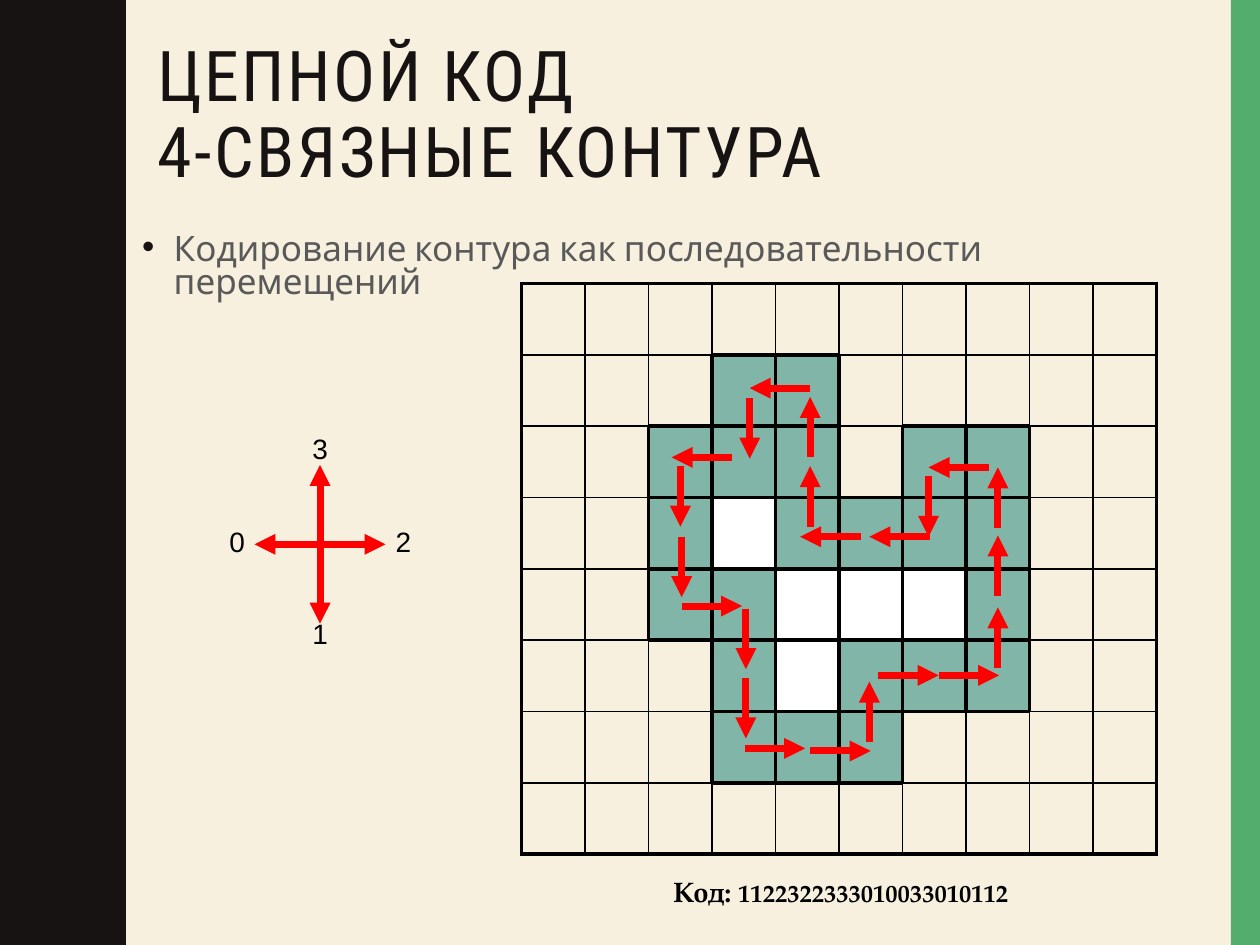
from lxml.etree import SubElement
from pptx import Presentation
from pptx.dml.color import RGBColor
from pptx.enum.shapes import MSO_CONNECTOR, MSO_SHAPE
from pptx.enum.text import PP_ALIGN
from pptx.oxml.ns import qn
from pptx.util import Inches, Pt

COLORS = {
    "paper": "F7F0DF", "ink": "171312", "edge": "53AE6E", "gray": "595959",
    "black": "000000", "red": "FF0000", "G": "81B5A8", "W": "FFFFFF",
}
# G: contour cell, W: inner cell
GRID = [
    "..........",
    "...GG.....",
    "..GGG.GG..",
    "..GWGGGG..",
    "..GGWWWG..",
    "...GWGGG..",
    "...GGG....",
    "..........",
]
CODE = "1122322333010033010112"
STEPS = {"0": (-1, 0), "1": (0, 1), "2": (1, 0), "3": (0, -1)}
STARTS = [
    (5.92, 4.83), (5.92, 5.38), (5.91, 5.94), (6.43, 5.96), (6.9, 5.89),
    (6.97, 5.36), (7.45, 5.36), (7.92, 5.3), (7.92, 4.73), (7.92, 4.19),
    (7.85, 3.71), (7.37, 3.78), (7.38, 4.26), (6.83, 4.26), (6.43, 4.18),
    (6.43, 3.63), (6.43, 3.08), (5.95, 3.16), (5.81, 3.63), (5.4, 3.7),
    (5.41, 4.26), (5.41, 4.81),
]
LABELS = {(0, 2): "3", (2, 0): "0", (2, 4): "2", (4, 2): "1"}


def color(name):
    return RGBColor.from_string(COLORS[name])


def paint(shape, name):
    shape.fill.solid()
    shape.fill.fore_color.rgb = color(name)
    shape.line.fill.background()
    shape.shadow.inherit = False


def style(font, face, size, name):
    font.name, font.size = face, Pt(size)
    font.color.rgb = color(name)


def add_text(slide, box, text):
    """Add a wrapped text box and return its first paragraph."""
    frame = slide.shapes.add_textbox(*map(Inches, box)).text_frame
    frame.word_wrap = True
    frame.text = text
    return frame.paragraphs[0]


def add_arrow(shapes, x, y, dx, dy):
    line = shapes.add_connector(
        MSO_CONNECTOR.STRAIGHT, *map(Inches, (x, y, x + dx, y + dy)))
    line.line.color.rgb = color("red")
    line.line.width = Pt(4)
    SubElement(line.line._get_or_add_ln(), qn("a:tailEnd"), type="triangle")
    SubElement(line._element.spPr, qn("a:effectLst"))


def add_wave(slide):
    """Draw the left band, whose right side swings every 0.75 inch."""
    low, swing, half, parts = 0.55, 0.19, 0.75, 12
    points = []
    for i in range(10):
        for j in range(1, parts + 1):
            t = j / parts
            ease = 3 * t ** 2 - 2 * t ** 3
            drop = 1.5 * t * (1 - t) + t ** 3
            x = low + swing * (ease if i % 2 == 0 else 1 - ease)
            points.append((x, half * (i + drop)))
    form = slide.shapes.build_freeform(
        Inches(low), 0, scale=float(Inches(1)))
    form = slide.shapes.build_freeform(low, 0, scale=float(Inches(1)))
    form.add_line_segments(points + [(0, 7.5), (0, 0)], close=True)
    paint(form.convert_to_shape(), "ink")


def add_table(slide, rows, cols, box):
    """Add a table without style, with equal rows and columns."""
    table = slide.shapes.add_table(rows, cols, *map(Inches, box)).table
    table.first_row = table.horz_banding = False
    table._tbl.tblPr.find(qn("a:tableStyleId")).text = (
        "{2D5ABB26-0587-4C30-8999-92F81FD0307C}")
    for row in table.rows:
        row.height = Inches(box[3] / rows)
    for col in table.columns:
        col.width = Inches(box[2] / cols)
    return table


def add_border(cell, side, width):
    line = SubElement(cell._tc.get_or_add_tcPr(), qn("a:ln" + side),
                      w=str(Pt(width)))
    fill = SubElement(line, qn("a:solidFill"))
    SubElement(fill, qn("a:srgbClr"), val=COLORS["black"])


def add_grid(slide):
    """Draw the cell grid; sides of marked cells and the rim are thick."""
    rows, cols = len(GRID), len(GRID[0])
    table = add_table(slide, rows, cols, (4.14, 2.25, 5.04, 4.53))
    sides = {"L": (0, -1), "R": (0, 1), "T": (-1, 0), "B": (1, 0)}
    for r, row in enumerate(GRID):
        for c, mark in enumerate(row):
            cell = table.cell(r, c)
            for side, (dr, dc) in sides.items():
                y, x = r + dr, c + dc
                rim = not (0 <= y < rows and 0 <= x < cols)
                thick = rim or mark != "." or GRID[y][x] != "."
                add_border(cell, side, 2.25 if thick else 1)
            if mark == ".":
                cell.fill.background()
            else:
                cell.fill.solid()
                cell.fill.fore_color.rgb = color(mark)


def add_compass(slide):
    group = slide.shapes.add_group_shape()
    for dx, dy in STEPS.values():
        add_arrow(group.shapes, 2.54, 4.32, dx * 0.52, dy * 0.63)
    table = add_table(slide, 5, 5, (1.72, 3.4, 1.65, 1.83))
    for r in range(5):
        for c in range(5):
            cell = table.cell(r, c)
            cell.fill.background()
            cell.margin_bottom = 0
            cell.text = LABELS.get((r, c), "")
            style(cell.text_frame.paragraphs[0].font, "Arial", 16, "black")


def add_words(slide):
    title = add_text(slide, (1.15, 0.28, 8.35, 1.63),
                     "ЦЕПНОЙ КОД\v4-СВЯЗНЫЕ КОНТУРА")
    title.line_spacing = 0.9
    style(title.font, "Roboto Condensed", 40, "ink")
    title._p.pPr.find(qn("a:defRPr")).set("spc", "150")

    body = add_text(slide, (1.03, 1.81, 8.35, 3.93),
                    "Кодирование контура как последовательности перемещений")
    body.line_spacing = 0.8
    props = body._p.get_or_add_pPr()
    props.set("marL", str(Inches(0.25)))
    props.set("indent", str(Inches(-0.25)))
    tint = SubElement(props, qn("a:buClr"))
    SubElement(tint, qn("a:srgbClr"), val=COLORS["ink"])
    SubElement(props, qn("a:buFont"), typeface="Arial")
    SubElement(props, qn("a:buChar"), char="•")
    style(body.font, "Cabin", 20, "gray")

    code = add_text(slide, (4.82, 6.89, 3.71, 0.37), "Код: ")
    code.alignment = PP_ALIGN.CENTER
    code.add_run().text = CODE
    for run, size in zip(code.runs, (16, 14)):
        style(run.font, "TeX Gyre Pagella", size, "black")
        run.font.bold = True


def main():
    deck = Presentation()
    deck.slide_width, deck.slide_height = Inches(10), Inches(7.5)
    slide = deck.slides.add_slide(deck.slide_layouts[6])
    slide.background.fill.solid()
    slide.background.fill.fore_color.rgb = color("paper")
    band = slide.shapes.add_shape(
        MSO_SHAPE.RECTANGLE, *map(Inches, (9.77, 0, 0.23, 7.5)))
    paint(band, "edge")
    add_wave(slide)
    add_words(slide)
    add_compass(slide)
    add_grid(slide)
    for step, (x, y) in zip(CODE, STARTS):
        dx, dy = STEPS[step]
        add_arrow(slide.shapes, x, y, dx * 0.48, dy * 0.48)
    deck.save("out.pptx")


if __name__ == "__main__":
    main()
